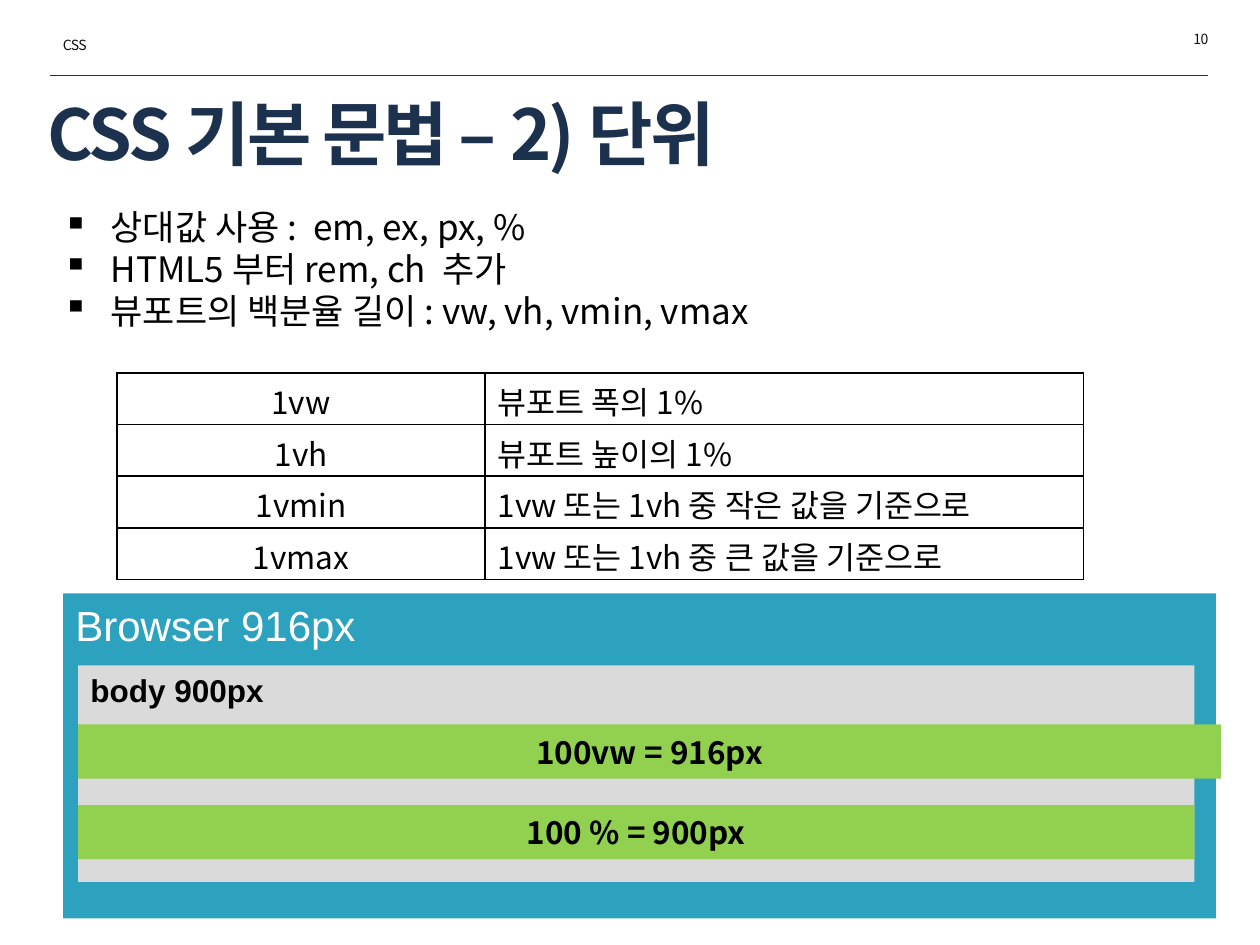
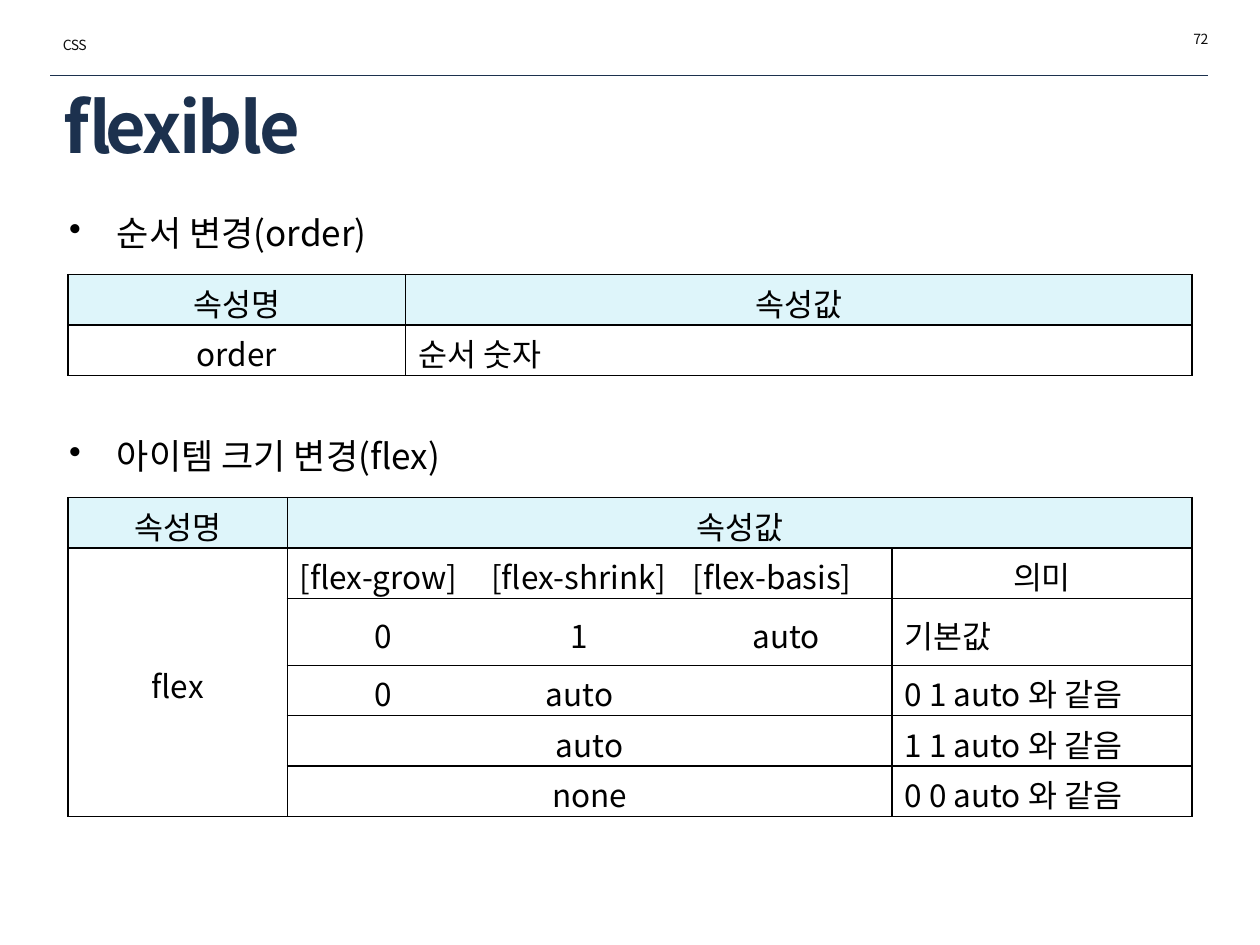
from lxml import etree
from pptx import Presentation
from pptx import util as u
from pptx.dml.color import RGBColor
from pptx.enum import shapes, text
from pptx.oxml import ns

PX = 9144
FONT = "Noto Sans CJK KR"
COLORS = {
    "navy": "1C314E",
    "ink": "0D0D0D",
    "black": "000000",
    "white": "FFFFFF",
    "teal": "2DA2BF",
    "gray": "DADADA",
    "green": "92D050",
    "head": "DEF5FA",
}
LEFT, CENTER, RIGHT = text.PP_ALIGN.LEFT, text.PP_ALIGN.CENTER, text.PP_ALIGN.RIGHT
TOP, MIDDLE = text.MSO_ANCHOR.TOP, text.MSO_ANCHOR.MIDDLE


def emu(*lengths):
    """Turn px lengths into EMU."""
    return [u.Emu(n * PX) for n in lengths]


def rgb(name):
    """Look up a colour by name."""
    return RGBColor.from_string(COLORS[name])


def child(parent, tag, **attrs):
    """Append a DrawingML element."""
    return etree.SubElement(parent, ns.qn("a:" + tag), attrs)


def write(tf, content, size=18, color="black", font=FONT, bold=False, align=LEFT,
          anchor=TOP, line=None, before=None, spacing=None, bullet=None):
    """Fill a text frame, one paragraph for each line of content."""
    tf.word_wrap = True
    tf.vertical_anchor = anchor
    for i, words in enumerate(content.split("\n")):
        p = tf.add_paragraph() if i else tf.paragraphs[0]
        p.alignment = align
        if line:
            p.line_spacing = line
        if before:
            p.space_before = u.Pt(before)
        if bullet:
            pPr = p._p.get_or_add_pPr()
            pPr.set("marL", str(38 * PX))
            pPr.set("indent", str(-38 * PX))
            child(pPr, "buChar", char=bullet)
        r = p.add_run()
        r.text = words
        r.font.size = u.Pt(size)
        r.font.bold = bold
        r.font.name = font
        r.font.color.rgb = rgb(color)
        rPr = r._r.get_or_add_rPr()
        child(rPr, "ea", typeface=font)
        if spacing:
            rPr.set("spc", str(spacing))


def add_text(s, box, content, **fmt):
    """Add a text box."""
    write(s.shapes.add_textbox(*emu(*box)).text_frame, content, **fmt)


def add_base(prs, title, box, number):
    """Add a slide with its title, header texts and header rule."""
    s = prs.slides.add_slide(prs.slide_layouts[5])
    sp = s.shapes.title
    sp.left, sp.top, sp.width, sp.height = emu(*box)
    sp.text_frame.auto_size = text.MSO_AUTO_SIZE.NONE
    write(sp.text_frame, title, size=40, color="navy", bold=True,
          anchor=MIDDLE, line=0.9, spacing=-150)
    rule = s.shapes.add_connector(shapes.MSO_CONNECTOR.STRAIGHT, *emu(40, 60, 959, 60))
    rule.line.color.rgb = rgb("navy")
    rule.line.width = u.Pt(0.25)
    child(rule._element.spPr, "effectLst")
    small = dict(size=8, color="ink", line=0.9, spacing=-30)
    add_text(s, (796, 21, 173, 24), number, align=RIGHT, **small)
    add_text(s, (40, 26, 173, 24), "CSS", **small)
    return s


def set_borders(cell, hidden):
    """Draw the four cell edges, except the hidden ones."""
    tcPr = cell._tc.get_or_add_tcPr()
    for edge in "LRTB":
        ln = child(tcPr, "ln" + edge, w="12700")
        if edge in hidden:
            child(ln, "noFill")
        else:
            child(child(ln, "solidFill"), "srgbClr", val=COLORS["black"])


def add_table(s, x, y, cols, heights, rows, left, merges=(), open_after=(),
              head=False, anchor=MIDDLE):
    """Add a ruled table; left holds the left-aligned cells."""
    box = emu(x, y, sum(cols), sum(heights))
    table = s.shapes.add_table(len(rows), len(cols), *box).table
    table.first_row = head
    table.horz_banding = False
    for col, width in zip(table.columns, cols):
        col.width = u.Emu(width * PX)
    for row, height in zip(table.rows, heights):
        row.height = u.Emu(height * PX)
    for r, row in enumerate(rows):
        for c, words in enumerate(row):
            cell = table.cell(r, c)
            cell.margin_top, cell.margin_bottom = emu(4, 0)
            hidden = ("R" if (r, c) in open_after else "") + ("L" if (r, c - 1) in open_after else "")
            set_borders(cell, hidden)
            if head and r == 0:
                cell.fill.solid()
                cell.fill.fore_color.rgb = rgb("head")
            else:
                cell.fill.background()
            cell.vertical_anchor = TOP if head and r == 0 else anchor
            if words:
                write(cell.text_frame, words, align=LEFT if (r, c) in left else CENTER,
                      anchor=cell.vertical_anchor)
    for first, last in merges:
        table.cell(*first).merge(table.cell(*last))


def add_browser(s, x, y):
    """Draw the browser box with its body and two width bars."""
    group = s.shapes.add_group_shape()
    bar = dict(align=CENTER, anchor=MIDDLE, bold=True)
    parts = [
        ((0, 0, 915, 258), "teal", "Browser 916px", dict(size=24, font="Arial", color="white")),
        ((12, 57, 886, 172), "gray", "body 900px", dict(font="Arial", bold=True)),
        ((12, 104, 907, 43), "green", "100vw = 916px", bar),
        ((12, 168, 886, 43), "green", "100 % = 900px", bar),
    ]
    for (dx, dy, w, h), fill, words, fmt in parts:
        sp = group.shapes.add_shape(shapes.MSO_SHAPE.RECTANGLE, *emu(x + dx, y + dy, w, h))
        sp.shadow.inherit = False
        sp.fill.solid()
        sp.fill.fore_color.rgb = rgb(fill)
        sp.line.fill.background()
        write(sp.text_frame, words, **fmt)


def units_slide(prs):
    """Build the slide on relative units."""
    s = add_base(prs, "CSS 기본 문법 – 2) 단위", (28, 77, 926, 64), "10")
    add_text(s, (40, 164, 915, 132),
             "상대값 사용 :  em, ex, px, %\nHTML5 부터 rem, ch  추가\n"
             "뷰포트의 백분율 길이 : vw, vh, vmin, vmax",
             size=20, line=0.83, before=4, bullet="▪")
    rows = [
        ("1vw", "뷰포트 폭의 1%"),
        ("1vh", "뷰포트 높이의 1%"),
        ("1vmin", "1vw 또는 1vh 중 작은 값을 기준으로"),
        ("1vmax", "1vw 또는 1vh 중 큰 값을 기준으로"),
    ]
    add_table(s, 93, 296, (292, 475), [41] * 4, rows,
              left={(r, 1) for r in range(4)}, anchor=TOP)
    add_browser(s, 50, 471)


def flexible_slide(prs):
    """Build the slide on order and flex."""
    s = add_base(prs, "flexible", (40, 72, 915, 64), "72")
    for y, words in ((167, "순서 변경(order)"), (344, "아이템 크기 변경(flex)")):
        add_text(s, (45, y, 924, 44), words, size=20, line=0.9, bullet="•")
    add_table(s, 54, 218, (268, 624), (40, 40),
              [("속성명", "속성값"), ("order", "순서 숫자")], left={(1, 1)}, head=True)
    rows = [
        ("속성명", "속성값", "", "", ""),
        ("flex", "[flex-grow]", "[flex-shrink]", "[flex-basis]", "의미"),
        ("", "0", "1", "auto", "기본값"),
        ("", "0", "auto", "", "0 1 auto 와 같음"),
        ("", "auto", "", "", "1 1 auto 와 같음"),
        ("", "none", "", "", "0 0 auto 와 같음"),
    ]
    add_table(s, 54, 395, (174, 152, 160, 168, 238), (40, 40, 53, 40, 40, 40), rows,
              left={(1, c) for c in (1, 2, 3)} | {(r, 4) for r in range(2, 6)},
              merges=[((0, 1), (0, 4)), ((1, 0), (5, 0)), ((4, 1), (4, 3)), ((5, 1), (5, 3))],
              open_after={(r, c) for r in (1, 2, 3) for c in (1, 2)}, head=True)


def main():
    """Build and save the presentation."""
    prs = Presentation()
    prs.slide_width, prs.slide_height = emu(1000, 750)
    units_slide(prs)
    flexible_slide(prs)
    prs.save("out.pptx")


if __name__ == "__main__":
    main()
